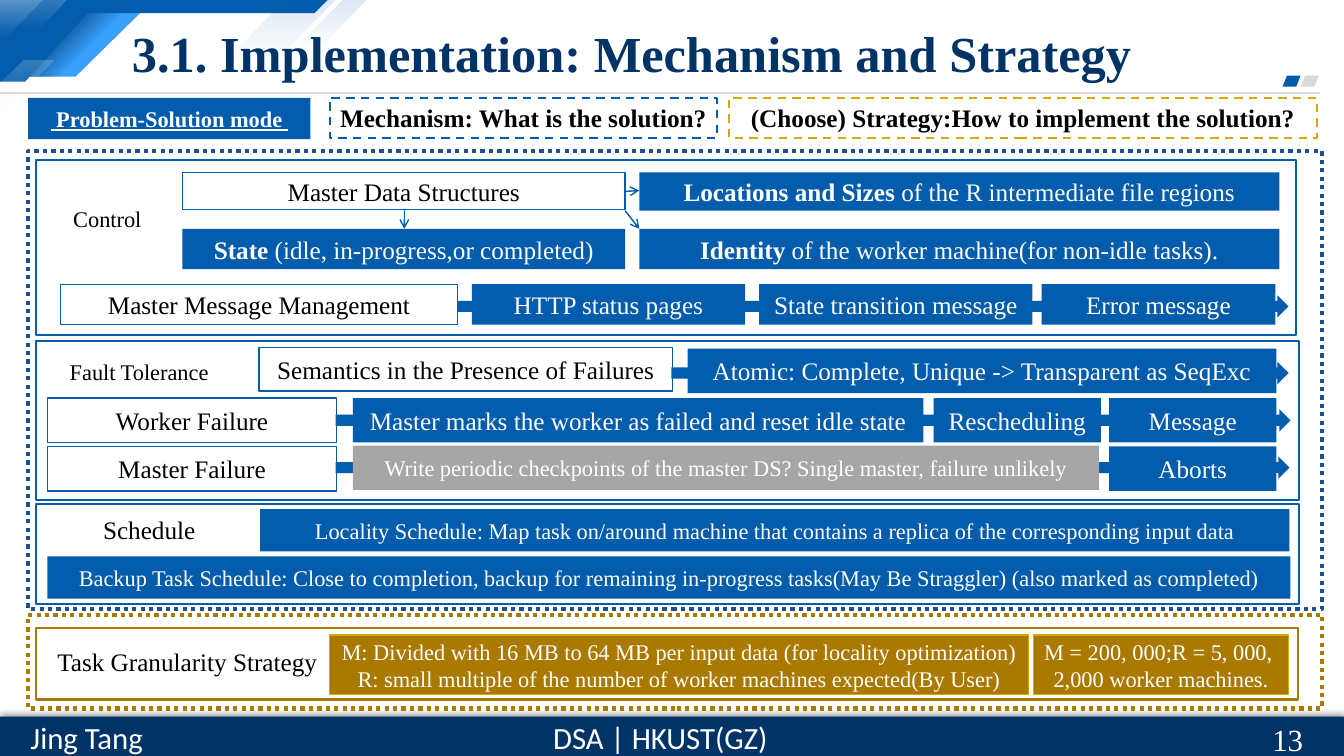
import pptx
import pptx.util
import pptx.dml.color
import pptx.enum.dml
import pptx.enum.shapes
import pptx.enum.text
import pptx.oxml.ns
from lxml import etree

RGB = pptx.dml.color.RGBColor
SHAPE = pptx.enum.shapes.MSO_SHAPE
DASH = pptx.enum.dml.MSO_LINE
ALIGN = pptx.enum.text.PP_ALIGN
qn = pptx.oxml.ns.qn

BLUE = RGB(0x03, 0x5C, 0xAC)
NAVY = RGB(0x00, 0x33, 0x66)
DEEP = RGB(0x02, 0x45, 0x81)
SKY = RGB(0x39, 0xA0, 0xFC)
FRAME = RGB(0x1D, 0x4F, 0x92)
OCHRE = RGB(0xAA, 0x79, 0x00)
GOLD = RGB(0xD7, 0xA8, 0x00)
GREY = RGB(0xA6, 0xA6, 0xA6)
SILVER = RGB(0xD9, 0xD9, 0xD9)
WHITE = RGB(0xFF, 0xFF, 0xFF)
BLACK = RGB(0x00, 0x00, 0x00)

PX = 9144  # 100 px to the inch
SERIF = "Times New Roman"

prs = pptx.Presentation()
prs.slide_width, prs.slide_height = 1333 * PX, 750 * PX
s = prs.slides.add_slide(prs.slide_layouts[6])


def box(x, y, w, h, fill=None, line=None, width=1, dash=None, shape=SHAPE.RECTANGLE):
    sp = s.shapes.add_shape(shape, x * PX, y * PX, w * PX, h * PX)
    sp.shadow.inherit = False
    if fill is None:
        sp.fill.background()
    else:
        sp.fill.solid()
        sp.fill.fore_color.rgb = fill
    if line is None:
        sp.line.fill.background()
    else:
        sp.line.color.rgb = line
        sp.line.width = pptx.util.Pt(width)
        if dash is not None:
            sp.line.dash_style = dash
    return sp


def write(sp, text, size=18, color=BLACK, lead="", bold=False, font=SERIF,
          align=ALIGN.CENTER, underline=None):
    """Put text in the shape, one paragraph a line, after a bold lead."""
    tf = sp.text_frame
    tf.word_wrap = True
    tf.vertical_anchor = pptx.enum.text.MSO_ANCHOR.MIDDLE
    tf.margin_left = tf.margin_right = 10 * PX if align == ALIGN.LEFT else 0
    tf.margin_top = tf.margin_bottom = 0
    for i, row in enumerate(text.split("\n")):
        p = tf.paragraphs[0] if i == 0 else tf.add_paragraph()
        p.alignment = align
        for words, heavy in ((lead if i == 0 else "", True), (row, bold)):
            if words:
                r = p.add_run()
                r.text = words
                r.font.name = font
                r.font.size = pptx.util.Pt(size)
                r.font.bold = heavy
                r.font.underline = underline
                r.font.color.rgb = color


# Corner ornament: points, then (position %, colour, opacity %) stops, then angle
slab = [(84, 7), (145, 7), (75, 76), (16, 76)]
white_fade = [(0, WHITE, 20), (100, WHITE, 0)]
blue_fade = [(0, BLUE, 15), (100, BLUE, 0)]
ornaments = [
    (slab, [(0, SKY, 100), (100, SKY, 100)], 90),
    (slab, [(29, DEEP, 100), (57, DEEP, 0)], 45),
    ([(0, 0), (325, 0), (312, 13), (87, 13), (25, 81), (0, 81)],
     [(0, BLUE, 100), (100, BLUE, 100)], 90),
    ([(0, 0), (42, 0), (0, 42)], white_fade, 90),
    ([(0, 0), (66, 0), (39, 28), (0, 28)], white_fade, 90),
    ([(284, 0), (333, 0), (272, 61), (222, 61)], blue_fade, 90),
    ([(340, 0), (364, 0), (315, 49), (291, 49)], blue_fade, 90),
    ([(23, 60), (53, 60), (0, 113), (0, 83)], white_fade, 90),
]
for points, stops, angle in ornaments:
    builder = s.shapes.build_freeform(*points[0], scale=PX)
    builder.add_line_segments(points[1:], close=True)
    sp = builder.convert_to_shape()
    sp.shadow.inherit = False
    sp.line.fill.background()
    if stops[0][2] == stops[1][2]:
        sp.fill.solid()
        sp.fill.fore_color.rgb = stops[0][1]
        continue
    sp.fill.gradient()
    sp.fill.gradient_angle = 360 - angle
    for stop, (position, color, opacity) in zip(sp.fill.gradient_stops, stops):
        stop.position = position / 100
        stop.color.rgb = color
    for clr, (_, _, opacity) in zip(sp.element.spPr.iter(qn("a:srgbClr")), stops):
        etree.SubElement(clr, qn("a:alpha")).set("val", str(opacity * 1000))

# Header rule and the three arrows of the control panel
connectors = [
    (0, 92, 1309, 92, SILVER, 1.5, False),
    (620, 190, 634, 189, BLUE, 1, True),
    (401, 208, 401, 227, BLUE, 1, True),
    (620, 209, 634, 227, BLUE, 1, True),
]
for x1, y1, x2, y2, color, width, arrow in connectors:
    cn = s.shapes.add_connector(pptx.enum.shapes.MSO_CONNECTOR.STRAIGHT,
                                x1 * PX, y1 * PX, x2 * PX, y2 * PX)
    cn.line.color.rgb = color
    cn.line.width = pptx.util.Pt(width)
    if arrow:
        etree.SubElement(cn.line._get_or_add_ln(), qn("a:tailEnd")).set("type", "arrow")
    etree.SubElement(cn.element.spPr, qn("a:effectLst"))

for x, color in ((1290, SILVER), (1272, BLUE)):
    sp = box(x, 75, 18, 11, color, shape=SHAPE.PARALLELOGRAM)
    sp.adjustments[0] = 0.4

# Footer bar with a soft shadow
footer = box(0, 711, 1333, 39, NAVY)
effects = footer.element.spPr.find(qn("a:effectLst"))
shadow = etree.SubElement(effects, qn("a:outerShdw"), blurRad="57150", dist="19050", dir="16200000")
tint = etree.SubElement(shadow, qn("a:srgbClr"), val="000000")
etree.SubElement(tint, qn("a:alpha"), val="63000")

# Flow arrows lie behind the boxes they link
for x, y, w in ((666, 359, 612), (333, 453, 946), (333, 406, 947), (454, 293, 824)):
    box(x, y, w, 22, BLUE, shape=SHAPE.RIGHT_ARROW)

# Frames
box(28, 150, 1283, 454, line=FRAME, width=3, dash=DASH.ROUND_DOT)
box(28, 610, 1283, 93, line=OCHRE, width=3, dash=DASH.ROUND_DOT)
for y, w, h, color in ((159, 1249, 173, BLUE), (338, 1252, 158, BLUE),
                       (500, 1252, 99, BLUE), (623, 1251, 71, OCHRE)):
    box(36, y, w, h, line=color, width=1.5)

# Heading row
write(box(28, 97, 280, 41, BLUE), " Problem-Solution mode ", 16, WHITE,
      bold=True, underline=True)
write(box(327, 97, 384, 40, line=BLUE, width=1.5, dash=DASH.DASH),
      "Mechanism: What is the solution?", bold=True)
write(box(723, 97, 583, 40, line=GOLD, width=1.5, dash=DASH.DASH),
      " (Choose) Strategy:How to implement the solution? ", bold=True)

# Outlined topic boxes
topics = [
    (181, 171, 439, 37, "Master Data Structures"),
    (60, 282, 394, 40, "Master Message Management"),
    (257, 345, 410, 43, "Semantics in the Presence of Failures"),
    (47, 395, 287, 44, "Worker Failure"),
    (47, 443, 287, 44, "Master Failure"),
]
for x, y, w, h, text in topics:
    write(box(x, y, w, h, line=BLUE), text)

# Filled detail boxes, with a bold lead where there is one
details = [
    (634, 171, 635, 38, 18, "Locations and Sizes", " of the R intermediate file regions"),
    (181, 227, 439, 40, 18, "State", " (idle, in-progress,or completed)"),
    (634, 227, 635, 40, 18, "Identity", " of the worker machine(for non-idle tasks)."),
    (468, 282, 271, 40, 18, "", "HTTP status pages"),
    (753, 282, 271, 40, 18, "", "State transition message"),
    (1033, 282, 232, 40, 18, "", "Error message"),
    (682, 346, 584, 44, 18, "", "Atomic: Complete, Unique -> Transparent as SeqExc"),
    (350, 395, 566, 44, 18, "", "Master marks the worker as failed and reset idle state"),
    (926, 395, 166, 44, 18, "", "Rescheduling"),
    (1100, 395, 166, 44, 18, "", "Message"),
    (1100, 443, 166, 44, 18, "", "Aborts"),
    (258, 505, 1021, 42, 16, "", "Locality Schedule: Map task on/around machine that contains "
     "a replica of the corresponding input data"),
    (47, 552, 1233, 42, 16, "", "Backup Task Schedule: Close to completion, backup for remaining "
     "in-progress tasks(May Be Straggler) (also marked as completed)"),
]
for x, y, w, h, size, lead, text in details:
    write(box(x, y, w, h, BLUE), text, size, WHITE, lead)

write(box(350, 442, 740, 44, GREY),
      "Write periodic checkpoints of the master DS? Single master, failure unlikely", 16, WHITE)
write(box(327, 630, 693, 59, OCHRE, GOLD),
      "M: Divided with 16 MB to 64 MB per input data (for locality optimization)\n"
      "R: small multiple of the number of worker machines expected(By User)", 16, WHITE)
write(box(1025, 630, 253, 59, OCHRE, GOLD),
      "M = 200, 000;R = 5, 000, \n2,000 worker machines.", 16, WHITE)

# Title, panel labels and footer text
labels = [
    (121, 17, 1021, 69, "3.1. Implementation: Mechanism and Strategy", 36, NAVY, SERIF, ALIGN.LEFT),
    (60, 198, 93, 37, "Control", 16, BLACK, SERIF, ALIGN.CENTER),
    (57, 350, 162, 37, "Fault Tolerance", 16, BLACK, SERIF, ALIGN.CENTER),
    (47, 505, 202, 40, "Schedule", 18, BLACK, SERIF, ALIGN.CENTER),
    (47, 636, 294, 40, "Task Granularity Strategy", 18, BLACK, SERIF, ALIGN.LEFT),
    (16, 708, 140, 47, "Jing Tang", 22, WHITE, "Calibri", ALIGN.CENTER),
    (536, 708, 238, 47, "DSA | HKUST(GZ)", 22, WHITE, "Calibri", ALIGN.CENTER),
    (1252, 713, 81, 40, "13", 22, WHITE, SERIF, ALIGN.LEFT),
]
for x, y, w, h, text, size, color, font, align in labels:
    tb = s.shapes.add_textbox(x * PX, y * PX, w * PX, h * PX)
    write(tb, text, size, color, bold=size == 36, font=font, align=align)

prs.save("out.pptx")
